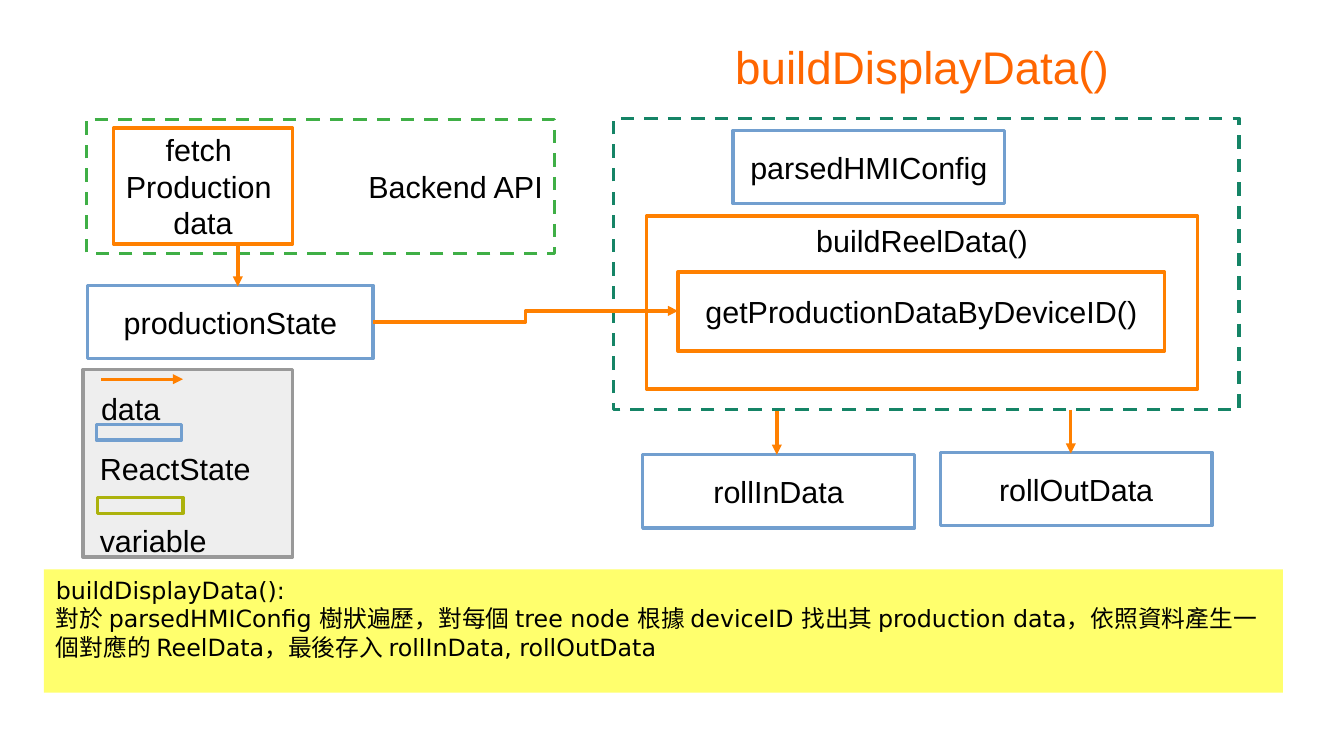
from pptx import Presentation
from pptx.util import Inches, Pt
from pptx.dml.color import RGBColor
from pptx.enum import dml, shapes, text
from pptx.oxml.ns import qn
from lxml import etree

COLOURS = {
    "title": "FF6600", "text": "000000", "white": "FFFFFF", "flow": "FF8000",
    "state": "729FCF", "variable": "ACB20C", "backend": "3FAF46",
    "display": "158466", "legend": "EEEEEE", "legend edge": "999999",
    "note": "FFFF6D",
}
LINE_WIDTH = Pt(1.98)
LEFT, CENTER, RIGHT = text.PP_ALIGN.LEFT, text.PP_ALIGN.CENTER, text.PP_ALIGN.RIGHT
TOP, MIDDLE = text.MSO_ANCHOR.TOP, text.MSO_ANCHOR.MIDDLE

TITLE = ("buildDisplayData()", (5, 0.2, 5.12, 0.69))
NOTE_PLACE = (0.36, 4.67, 10.16, 1.01)
NOTE = [
    "buildDisplayData():",
    "對於 parsedHMIConfig 樹狀遍歷，對每個 tree node 根據 deviceID 找出其 "
    "production data，依照資料產生一個對應的 ReelData，最後存入 rollInData, rollOutData",
]

# lines of text, place, edge colour, alignment, anchor
FRAMES = [
    (["Backend API"], (0.71, 0.98, 3.84, 1.1), "backend", RIGHT, MIDDLE),
    ([], (5.03, 0.97, 5.13, 2.39), "display", CENTER, MIDDLE),
]
BOXES = [
    (["fetch ", "Production ", "data"], (0.93, 1.05, 1.47, 0.95), "flow", CENTER, MIDDLE),
    (["parsedHMIConfig"], (6.01, 1.07, 2.23, 0.6), "state", CENTER, MIDDLE),
    (["productionState"], (0.72, 2.34, 2.34, 0.6), "state", CENTER, MIDDLE),
    (["rollInData"], (5.27, 3.73, 2.23, 0.6), "state", CENTER, MIDDLE),
    (["rollOutData"], (7.71, 3.71, 2.23, 0.6), "state", CENTER, MIDDLE),
    (["buildReelData()"], (5.3, 1.77, 4.52, 1.42), "flow", CENTER, TOP),
    (["getProductionDataByDeviceID()"], (5.56, 2.23, 3.99, 0.65), "flow", CENTER, MIDDLE),
]
LEGEND_PLACE = (0.68, 3.03, 1.72, 1.54)
LEGEND_LABELS = [
    ("data", (0.73, 3.15, 0.75, 0.41)),
    ("ReactState", (0.72, 3.64, 1.57, 0.41)),
    ("variable", (0.72, 4.23, 1.57, 0.41)),
]
LEGEND_KEYS = [("state", (0.79, 3.48, 0.7, 0.13)), ("variable", (0.8, 4.08, 0.7, 0.13))]
LEGEND_ARROW = (0.83, 3.11, 1.5, 3.11)
STRAIGHT_ARROWS = [
    (1.95, 1.99, 1.95, 2.35),
    (6.37, 3.37, 6.37, 3.73),
    (8.78, 3.36, 8.78, 3.72),
]
BENT_ARROW = (3.06, 2.64, 5.56, 2.55)


def colour(name):
    return RGBColor.from_string(COLOURS[name])


def write(shape, lines, align=LEFT, anchor=TOP, size=18, font="Arial", ink="text"):
    frame = shape.text_frame
    frame.word_wrap = True
    frame.vertical_anchor = anchor
    frame.text = "\n".join(lines)
    for para in frame.paragraphs:
        para.alignment = align
        for span in para.runs:
            span.font.size = Pt(size)
            span.font.name = font
            span.font.color.rgb = colour(ink)
    return frame


def add_label(page, lines, place, **style):
    box = page.shapes.add_textbox(*map(Inches, place))
    return write(box, lines, **style)


def add_box(page, place, fill=None, edge=None, dashed=False):
    box = page.shapes.add_shape(shapes.MSO_SHAPE.RECTANGLE, *map(Inches, place))
    box.shadow.inherit = False
    if fill:
        box.fill.solid()
        box.fill.fore_color.rgb = colour(fill)
    else:
        box.fill.background()
    if edge:
        box.line.color.rgb = colour(edge)
        box.line.width = LINE_WIDTH
    else:
        box.line.fill.background()
    if dashed:
        box.line.dash_style = dml.MSO_LINE.DASH
    return box


def add_arrow(page, ends, kind=shapes.MSO_CONNECTOR.STRAIGHT):
    arrow = page.shapes.add_connector(kind, *map(Inches, ends))
    arrow.line.color.rgb = colour("flow")
    arrow.line.width = LINE_WIDTH
    properties = arrow.line.color and arrow.element.spPr
    etree.SubElement(properties.find(qn("a:ln")), qn("a:tailEnd"), type="triangle")
    etree.SubElement(properties, qn("a:effectLst"))


def add_legend(page):
    add_box(page, LEGEND_PLACE, "legend", "legend edge")
    add_arrow(page, LEGEND_ARROW)
    for label, place in LEGEND_LABELS:
        add_label(page, [label], place)
    for edge, place in LEGEND_KEYS:
        add_box(page, place, edge=edge)


def main():
    deck = Presentation()
    deck.slide_width, deck.slide_height = Inches(11.02), Inches(6.2)
    page = deck.slides.add_slide(deck.slide_layouts[6])

    name, place = TITLE
    title = add_label(page, [name], place, align=CENTER, anchor=MIDDLE, size=27, ink="title")
    title.margin_left = title.margin_right = title.margin_top = title.margin_bottom = 0

    for group, dashed in ((FRAMES, True), (BOXES, False)):
        for lines, place, edge, align, anchor in group:
            box = add_box(page, place, "white", edge, dashed)
            if lines:
                write(box, lines, align, anchor)

    add_legend(page)
    write(add_box(page, NOTE_PLACE, "note"), NOTE, size=14, font="DejaVu Sans")
    for ends in STRAIGHT_ARROWS:
        add_arrow(page, ends)
    add_arrow(page, BENT_ARROW, shapes.MSO_CONNECTOR.ELBOW)

    deck.save("out.pptx")


if __name__ == "__main__":
    main()
